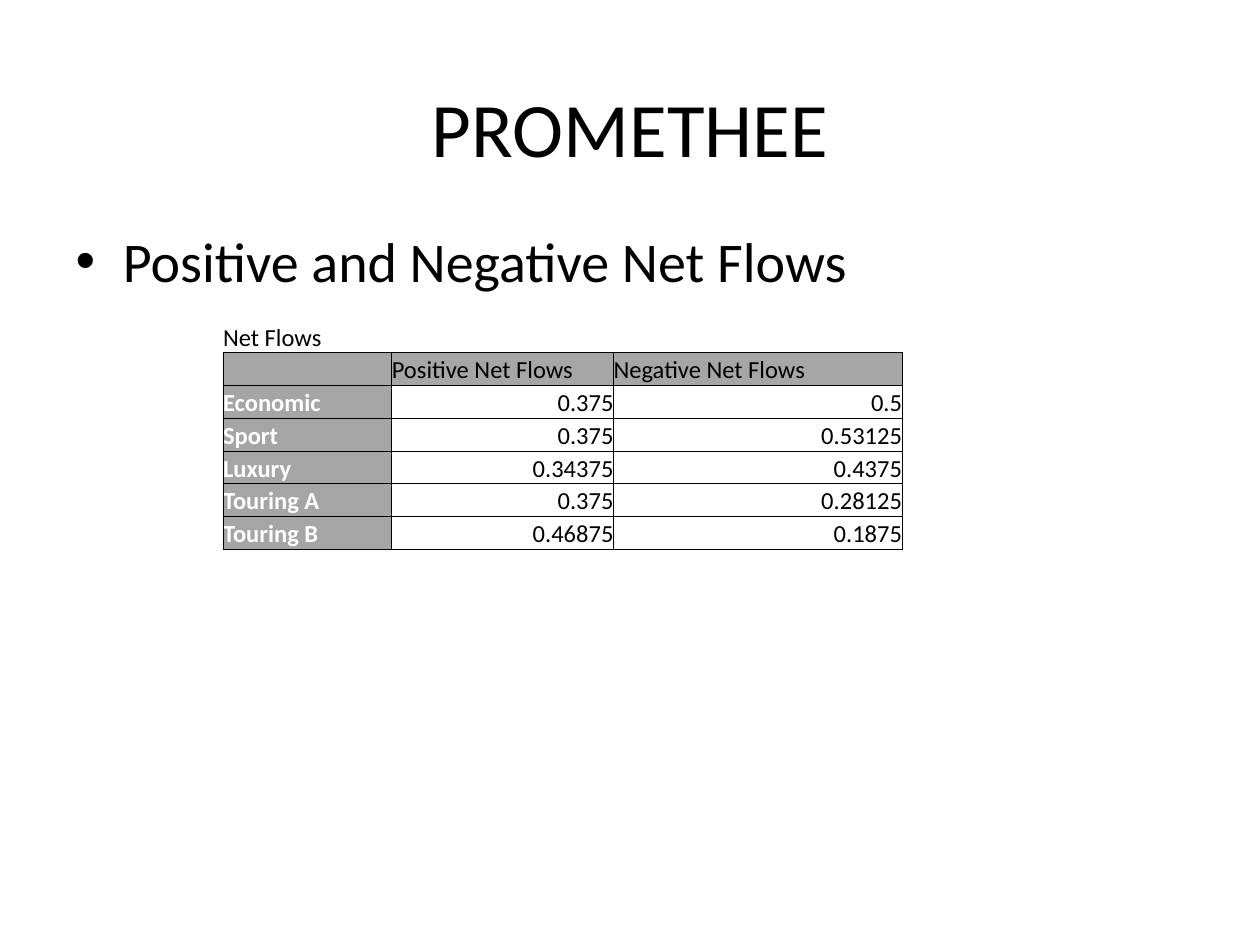
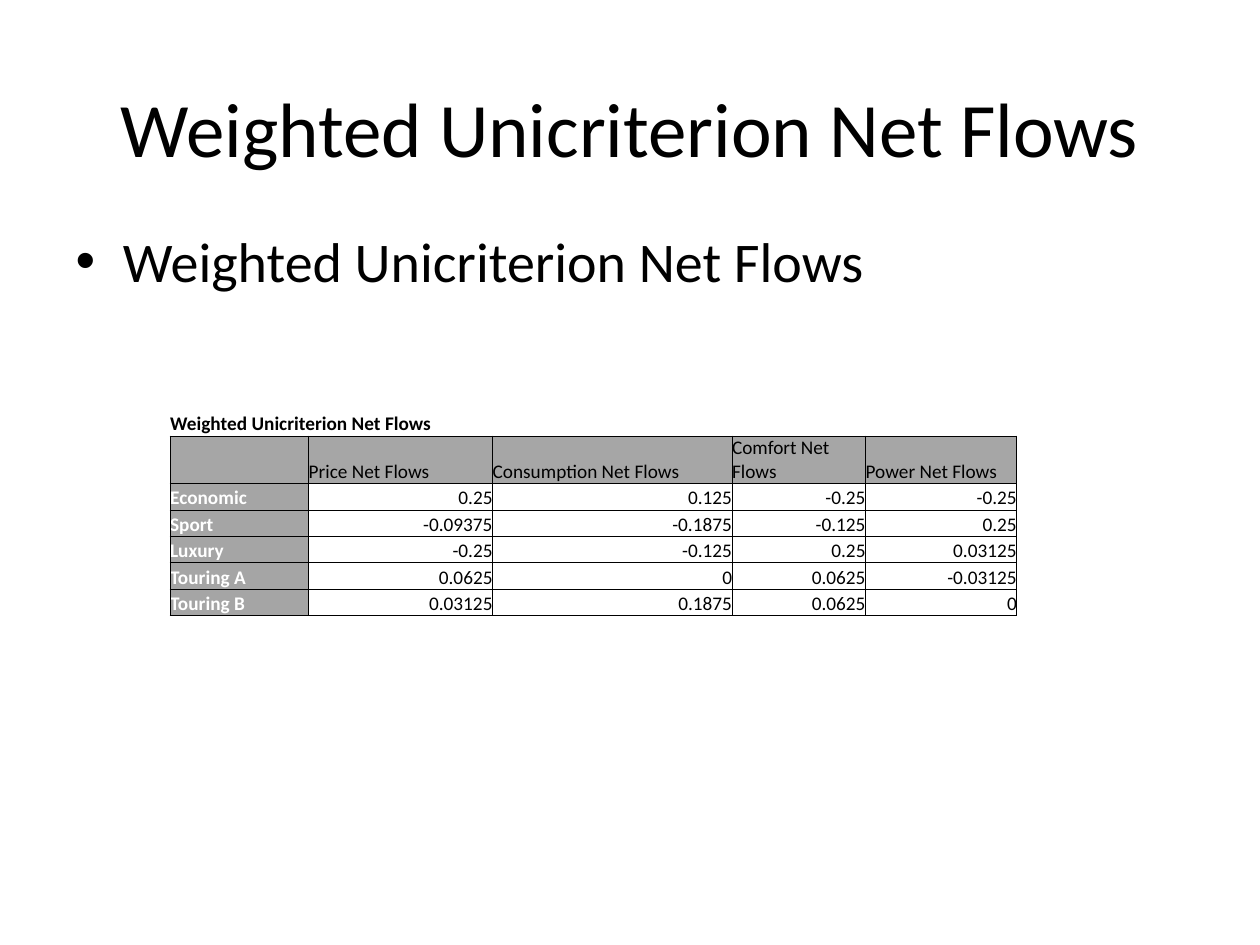
from lxml import etree
from pptx import Presentation
from pptx import util as u
from pptx.dml.color import RGBColor
from pptx.enum import text
from pptx.oxml.ns import qn

FONT = "Calibri"
BLACK, WHITE = "000000", "FFFFFF"
HEADER_GRAY, LABEL_GRAY = "A6A6A6", "A5A5A5"
PLAIN_TABLE_STYLE = "{2D5ABB26-0587-4C30-8999-92F81FD0307C}"
TITLE_BOX = (0.5, 0.38, 9, 1.25)
BODY_BOX = (0.5, 1.75, 9, 4.95)

# Content: one entry per slide
CARS = ["Economic", "Sport", "Luxury", "Touring A", "Touring B"]
SLIDES = [
    {
        "title": "PROMETHEE",
        "bullet": "Positive and Negative Net Flows",
        "caption": "Net Flows", "caption_bold": False, "caption_span": 1,
        "headers": ["Positive Net Flows", "Negative Net Flows"],
        "flows": [["0.375", "0.5"],
                  ["0.375", "0.53125"],
                  ["0.34375", "0.4375"],
                  ["0.375", "0.28125"],
                  ["0.46875", "0.1875"]],
        "corner": (1.77, 2.56), "columns": [1.34, 1.76, 2.29],
        "caption_height": 0.24, "row_height": 0.26, "size": 14,
    },
    {
        "title": "Weighted Unicriterion Net Flows",
        "bullet": "Weighted Unicriterion Net Flows",
        "caption": "Weighted Unicriterion Net Flows", "caption_bold": True, "caption_span": 2,
        "headers": ["Price Net Flows", "Consumption Net Flows",
                    "Comfort Net Flows", "Power Net Flows"],
        "flows": [["0.25", "0.125", "-0.25", "-0.25"],
                  ["-0.09375", "-0.1875", "-0.125", "0.25"],
                  ["-0.25", "-0.125", "0.25", "0.03125"],
                  ["0.0625", "0", "0.0625", "-0.03125"],
                  ["0.03125", "0.1875", "0.0625", "0"]],
        "corner": (1.35, 3.25), "columns": [1.1, 1.46, 1.9, 1.06, 1.2],
        "caption_height": 0.21, "row_height": 0.21, "size": 11,
    },
]


def rgb(color):
    return RGBColor.from_string(color)


def add_span(para, words, size, color=BLACK, bold=False):
    span = para.add_run()
    span.text = words
    font = span.font
    font.name, font.size, font.bold = FONT, u.Pt(size), bold
    font.color.rgb = rgb(color)


def fill_placeholder(box, place, words, size):
    box.left, box.top, box.width, box.height = map(u.Inches, place)
    para = box.text_frame.paragraphs[0]
    para.space_before = u.Pt(0)
    add_span(para, words, size)


def set_borders(cell, sides):
    properties = cell._tc.get_or_add_tcPr()
    for side in ("L", "R", "T", "B"):
        line = etree.SubElement(properties, qn(f"a:ln{side}"), w=str(u.Pt(0.5)))
        if side in sides:
            solid = etree.SubElement(line, qn("a:solidFill"))
            etree.SubElement(solid, qn("a:srgbClr"), val=BLACK)
        else:
            etree.SubElement(line, qn("a:noFill"))


def format_cell(cell, words, size, row, column, caption_bold):
    is_caption, is_header = row == 0, row == 1
    is_label = row > 1 and column == 0
    set_borders(cell, "B" if is_caption else "LRTB")
    cell.margin_left = cell.margin_right = cell.margin_top = cell.margin_bottom = 0
    cell.vertical_anchor = text.MSO_ANCHOR.BOTTOM
    if is_header or is_label:
        cell.fill.solid()
        cell.fill.fore_color.rgb = rgb(HEADER_GRAY if is_header else LABEL_GRAY)
    else:
        cell.fill.background()
    para = cell.text_frame.paragraphs[0]
    is_value = row > 1 and column > 0
    para.alignment = text.PP_ALIGN.RIGHT if is_value else text.PP_ALIGN.LEFT
    if words:
        add_span(para, words, size, WHITE if is_label else BLACK,
                 is_label or (is_caption and caption_bold))
    else:
        # Empty cells take the table's text size, so rows stay low
        etree.SubElement(para._p, qn("a:endParaRPr"), sz=str(size * 100))


def add_flow_table(page, data):
    columns = data["columns"]
    rows = [[data["caption"]] + [""] * (len(columns) - 1), [""] + data["headers"]]
    rows += [[car] + flows for car, flows in zip(CARS, data["flows"])]
    heights = [data["caption_height"]] + [data["row_height"]] * (len(rows) - 1)
    place = (*data["corner"], sum(columns), sum(heights))
    table = page.shapes.add_table(len(rows), len(columns), *map(u.Inches, place)).table
    table.first_row = table.horz_banding = False
    table._tbl.tblPr.find(qn("a:tableStyleId")).text = PLAIN_TABLE_STYLE
    for column, width in zip(table.columns, columns):
        column.width = u.Inches(width)
    for row, height in zip(table.rows, heights):
        row.height = u.Inches(height)
    for r, row in enumerate(rows):
        for c, words in enumerate(row):
            format_cell(table.cell(r, c), words, data["size"], r, c, data["caption_bold"])
    if data["caption_span"] > 1:
        table.cell(0, 0).merge(table.cell(0, data["caption_span"] - 1))


def main():
    deck = Presentation()
    deck.slide_width, deck.slide_height = u.Inches(10), u.Inches(7.5)
    for data in SLIDES:
        page = deck.slides.add_slide(deck.slide_layouts[1])
        fill_placeholder(page.shapes.title, TITLE_BOX, data["title"], 44)
        fill_placeholder(page.placeholders[1], BODY_BOX, data["bullet"], 32)
        add_flow_table(page, data)
    deck.save("out.pptx")


if __name__ == "__main__":
    main()
